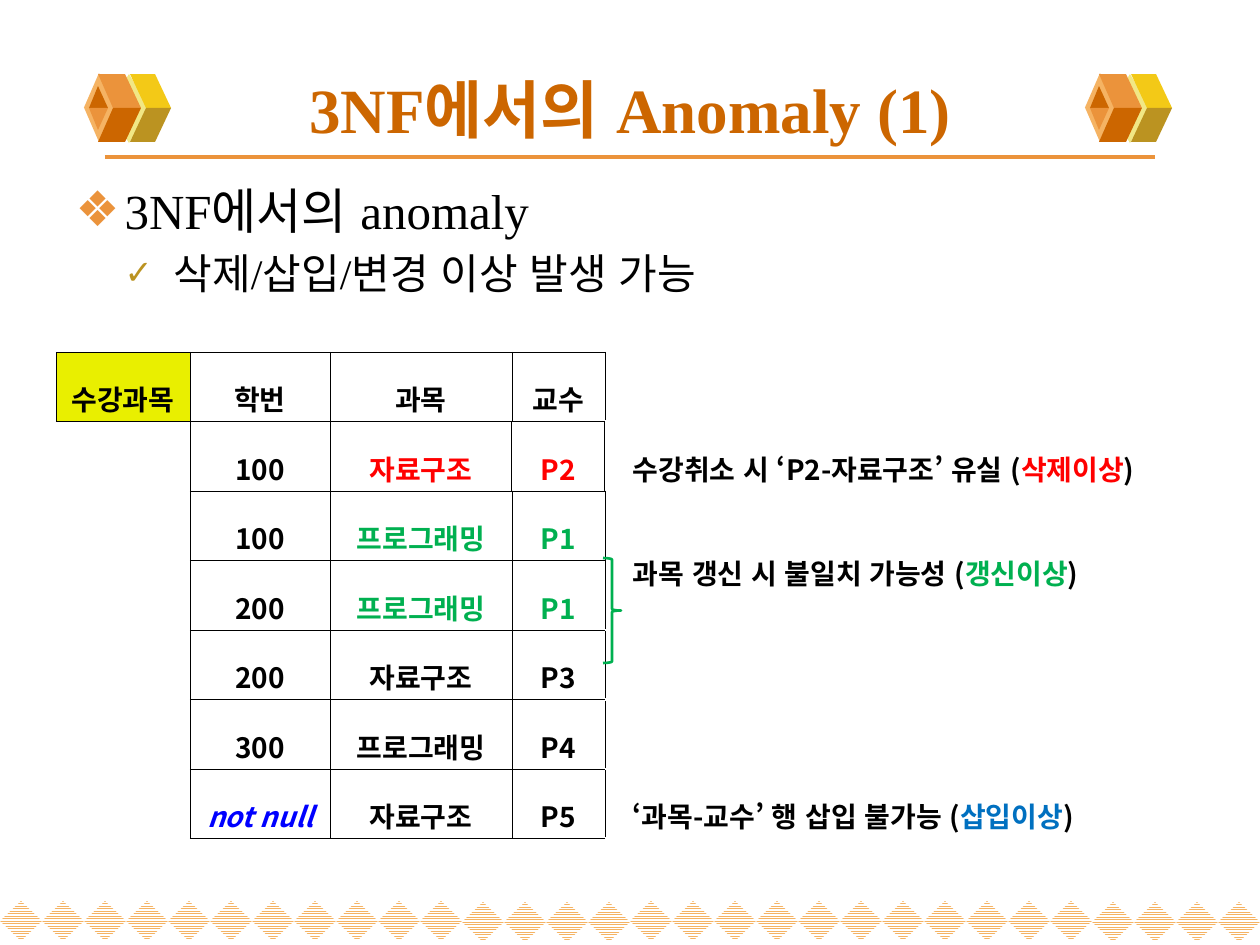
from lxml.etree import SubElement as Sub
from pptx import Presentation
from pptx.dml.color import RGBColor as RGB
from pptx.enum.dml import MSO_PATTERN as Pat
from pptx.enum.lang import MSO_LANGUAGE_ID as Lang
from pptx.enum.shapes import MSO_CONNECTOR as Conn, MSO_SHAPE as Kind
from pptx.enum.text import MSO_ANCHOR as Anchor, MSO_AUTO_SIZE as Auto, PP_ALIGN as Align
from pptx.oxml.ns import qn
from pptx.util import Pt


class Theme:
    latin, korean = "Times New Roman", "Noto Sans CJK KR"
    title, head, sub, cell = 36, 28, 24, 16
    black, white, red, green = "000000", "FFFFFF", "FF0000", "00B050"
    blue, sky, lime = "0000FF", "0070C0", "E9EF00"
    rust, orange, peach, sand = "CC6600", "EB933B", "F5B363", "F1E785"
    gold, olive = "F3C917", "BB9321"


# Content
TITLE = "3NF에서의 Anomaly (1)"
# text, level, size, bullet, bullet colour, bullet percent, left px
POINTS = [
    ("3NF에서의 anomaly", 0, Theme.head, "❖", Theme.orange, 100, 49),
    ("삭제/삽입/변경 이상 발생 가능", 1, Theme.sub, "✓", Theme.olive, 80, 98),
]
LABEL = "수강과목"
ROWS = [
    ("학번", "과목", "교수"),
    ("100", "자료구조", "P2"),
    ("100", "프로그래밍", "P1"),
    ("200", "프로그래밍", "P1"),
    ("200", "자료구조", "P3"),
    ("300", "프로그래밍", "P4"),
    ("not null", "자료구조", "P5"),
]
TINTS = {1: Theme.red, 2: Theme.green, 3: Theme.green}  # course and teacher, by row
NOTES = {  # row: lead, marked word, its colour
    1: ("수강취소 시 ‘P2-자료구조’ 유실 (", "삭제이상", Theme.red),
    2: ("과목 갱신 시 불일치 가능성 (", "갱신이상", Theme.green),
    6: ("‘과목-교수’ 행 삽입 불가능 (", "삽입이상", Theme.sky),
}
COLS = [134, 140, 182, 93, 599]
ROW_H = 48
CUBE_MID = 108
CUBE_FACES = [  # outline of the upper half, upper colour, lower colour
    ([(146, 108), (171, 108), (155, 74), (130, 74)], Theme.gold, Theme.olive),
    ([(113, 108), (141, 108), (125, 74), (98, 74)], Theme.orange, Theme.rust),
    ([(98, 86), (89, 108), (108, 108)], Theme.rust, Theme.orange),
]
CUBE_BACKS = [((108, 74, 42, 69), Theme.sand), ((84, 73, 30, 69), Theme.peach)]

SCALE = 914400 / 126


def px(n):
    return round(n * SCALE)


def box(*sides):
    return [px(n) for n in sides]


def paint(fill, tint):
    fill.solid()
    fill.fore_color.rgb = RGB.from_string(tint)


def write(para, text, size, tint, name=Theme.korean, **more):
    run = para.add_run()
    run.text = text
    style = dict(name=name, size=Pt(size), language_id=Lang.KOREAN, **more)
    for key, val in style.items():
        setattr(run.font, key, val)
    run.font.color.rgb = RGB.from_string(tint)
    Sub(run.font._element, qn("a:ea"), typeface=Theme.korean)


def place(shape, *sides):
    for key, val in zip(("left", "top", "width", "height"), box(*sides)):
        setattr(shape, key, val)


def plain(shape, tint=None):
    shape.shadow.inherit = False
    shape.line.fill.background()
    if tint:
        paint(shape.fill, tint)
    return shape


def face(shapes, points, tint):
    path = shapes.build_freeform(*points[0], scale=SCALE)
    path.add_line_segments(points[1:], close=True)
    plain(path.convert_to_shape(), tint)


def cube(shapes, shift):
    for (left, *rest), tint in CUBE_BACKS:
        plain(shapes.add_shape(Kind.DIAMOND, *box(left + shift, *rest)), tint)
        if tint == Theme.sand:
            halves(shapes, CUBE_FACES[:1], shift)
    halves(shapes, CUBE_FACES[1:], shift)


def halves(shapes, faces, shift):
    for points, upper, lower in faces:
        face(shapes, [(x + shift, y) for x, y in points], upper)
        face(shapes, [(x + shift, 2 * CUBE_MID - y) for x, y in points], lower)


def edge(cell, **sides):
    props = cell._tc.get_or_add_tcPr()
    for side in "LRTB":
        tint, width = sides.get(side, (None, 0))
        line = Sub(props, qn("a:ln" + side), w=str(Pt(width)))
        if tint:
            Sub(Sub(line, qn("a:solidFill")), qn("a:srgbClr"), val=tint)
        else:
            Sub(line, qn("a:noFill"))


def borders(row, col):
    thin, bold = (Theme.black, 0.28), (Theme.black, 0.56)
    clear = (Theme.white, 1.41)
    side = bold if row == 1 else thin
    if col == 4:
        return dict(L=side, R=clear, T=clear, B=clear)
    if col == 0:
        if row == 0:
            return dict.fromkeys("LRTB", thin)
        return dict(R=side, T=thin) if row == 1 else dict(R=side)
    return dict(L=side, R=side, T=bold if row in (1, 2) else thin,
                B=bold if row in (0, 1) else thin)


def fill_cell(cell, row, col):
    edge(cell, **borders(row, col))
    tint = Theme.lime if (row, col) == (0, 0) else Theme.white if col == 4 else None
    if tint:
        paint(cell.fill, tint)
    else:
        cell.fill.background()
    cell.vertical_anchor = Anchor.MIDDLE
    cell.margin_left = cell.margin_right = px(9)
    cell.margin_top, cell.margin_bottom = box(2, 3)
    para = cell.text_frame.paragraphs[0]
    if col == 4 and row in NOTES:
        para.alignment = Align.JUSTIFY
        para._p.get_or_add_pPr().set("indent", str(px(19)))
        lead, word, mark = NOTES[row]
        parts = [(lead, Theme.black), (word, mark), (")", Theme.black)]
    elif 0 < col < 4 or (row, col) == (0, 0):
        para.alignment = Align.CENTER
        text = ROWS[row][col - 1] if col else LABEL
        ink = TINTS.get(row, Theme.black) if col > 1 else Theme.black
        parts = [(text, Theme.blue if text == "not null" else ink)]
    else:
        return
    para.line_spacing = 1.6
    for text, ink in parts:
        write(para, text, Theme.cell, ink, bold=True, italic=text == "not null")


def main():
    deck = Presentation()
    deck.slide_width, deck.slide_height = box(1260, 945)
    slide = deck.slides.add_slide(deck.slide_layouts[1])
    shapes = slide.shapes

    # Row of hatched diamonds
    for i in range(30):
        gem = plain(shapes.add_shape(Kind.DIAMOND, *box(42 * i, 901 + (i % 15 > 10), 42, 40)))
        gem.fill.patterned()
        gem.fill.pattern = Pat.NARROW_HORIZONTAL
        gem.fill.fore_color.rgb = RGB.from_string(Theme.peach)
        gem.fill.back_color.rgb = RGB.from_string(Theme.white)

    # Title rule and cubes
    rule = shapes.add_connector(Conn.STRAIGHT, *box(105, 157, 1155, 157))
    rule.line.width = Pt(2.25)
    paint(rule.line.fill, Theme.orange)
    Sub(rule._element.spPr, qn("a:effectLst"))
    for shift in (0, 1001):
        cube(shapes, shift)

    # Title and list
    title, body = shapes.title, slide.placeholders[1]
    place(title, 63, 60, 1134, 96)
    place(body, 63, 170, 1134, 155)
    for frame in (title.text_frame, body.text_frame):
        frame.auto_size = Auto.NONE
        frame.word_wrap = True
    title.text_frame.vertical_anchor = Anchor.MIDDLE
    para = title.text_frame.paragraphs[0]
    para.alignment = Align.CENTER
    write(para, TITLE, Theme.title, Theme.rust, Theme.latin, bold=True)
    frame = body.text_frame
    frame.margin_top = frame.margin_bottom = px(10)
    for i, (text, level, size, mark, tint, share, left) in enumerate(POINTS):
        para = frame.add_paragraph() if i else frame.paragraphs[0]
        para.level = level
        para.space_before = Pt(0.2 * size if i else 0)
        props = para._p.get_or_add_pPr()
        props.set("marL", str(px(left)))
        props.set("indent", str(px(-49)))
        Sub(Sub(props, qn("a:buClr")), qn("a:srgbClr"), val=tint)
        Sub(props, qn("a:buSzPct"), val=str(share * 1000))
        Sub(props, qn("a:buChar"), char=mark)
        write(para, text, size, Theme.black, Theme.latin)

    # Table with side notes
    holder = shapes.add_table(len(ROWS), len(COLS), *box(56, 352, sum(COLS), 411))
    table = holder.table
    table.first_row = table.horz_banding = False
    for col, width in enumerate(COLS):
        table.columns[col].width = px(width)
    for row in range(len(ROWS)):
        table.rows[row].height = px(ROW_H)
        for col in range(len(COLS)):
            fill_cell(table.cell(row, col), row, col)
    table.cell(2, 4).merge(table.cell(3, 4))
    holder.height = px(411)

    # Brace joining the repeated rows
    brace = plain(shapes.add_shape(Kind.RIGHT_BRACE, *box(603, 558, 18, 105)))
    brace.fill.background()
    paint(brace.line.fill, Theme.green)
    brace.line.width = Pt(1.5)
    deck.save("out.pptx")


if __name__ == "__main__":
    main()
